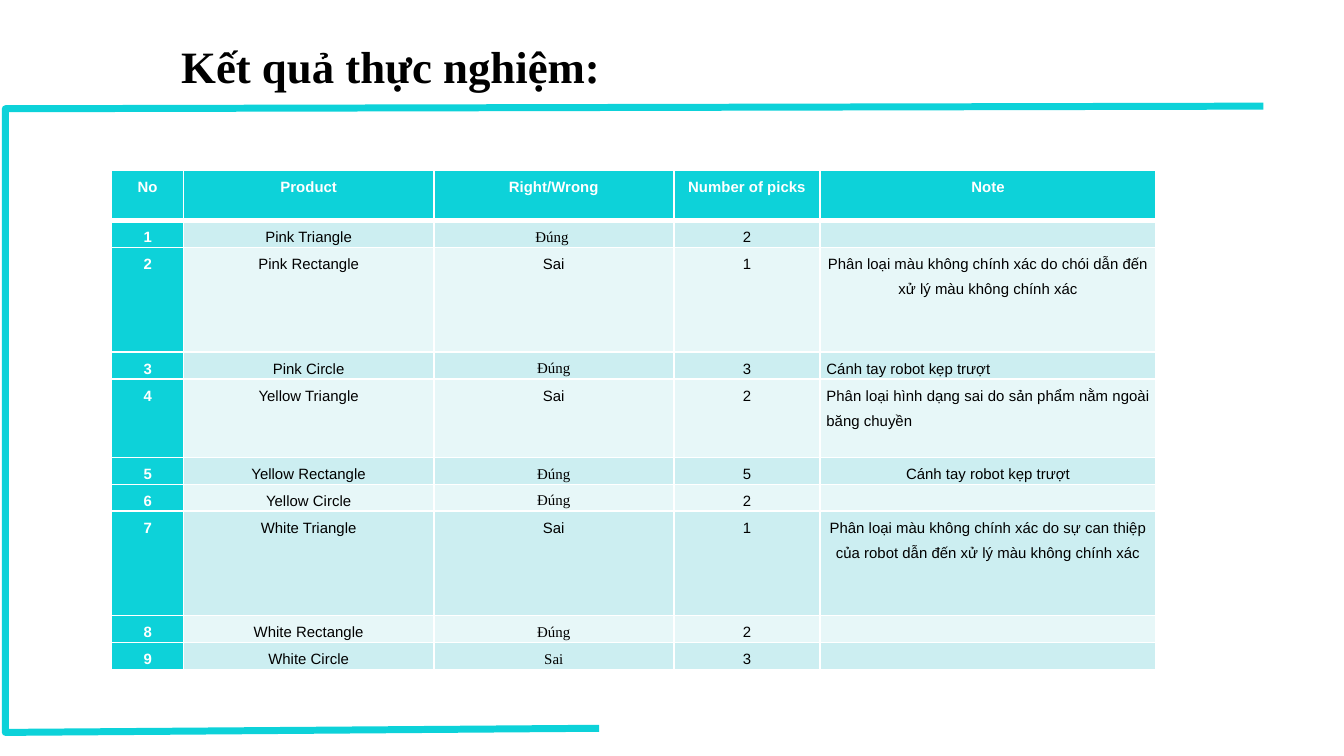
from dataclasses import dataclass

import lxml.etree
import pptx
import pptx.dml.color
import pptx.enum.text
import pptx.oxml.ns
import pptx.util

Pt = pptx.util.Pt
ALIGN = pptx.enum.text.PP_ALIGN
qn = pptx.oxml.ns.qn


@dataclass(frozen=True)
class Theme:
    accent: str = "0DD2D9"
    bands: tuple = ("CCEEF1", "E7F7F8")
    white: str = "FFFFFF"
    black: str = "000000"
    sans: str = "Arial"
    serif: str = "Times New Roman"
    title_size: float = 24
    table_size: float = 8


THEME = Theme()

FRAME_POINTS = [(321, 390.2), (2.9, 392.4), (2.9, 58.3), (676.8, 56.9)]
COLUMN_WIDTHS = [38.6, 134, 128.6, 78.4, 180]
HEADER_HEIGHT, SHORT, MEDIUM, TALL = 27, 13, 42, 56

HEADINGS = ["No", "Product", "Right/Wrong", "Number of picks", "Note"]
# Row height, product, verdict, verdict font, picks, note, note alignment
RESULTS = [
    (SHORT, "Pink Triangle", "Đúng ", THEME.serif, "2", "", ALIGN.CENTER),
    (TALL, "Pink Rectangle", "Sai", THEME.sans, "1",
     "Phân loại màu không chính xác do chói dẫn đến xử lý màu không chính xác",
     ALIGN.CENTER),
    (SHORT, "Pink Circle", "Đúng", THEME.serif, "3",
     "Cánh tay robot kẹp trượt", ALIGN.JUSTIFY),
    (MEDIUM, "Yellow Triangle", "Sai", THEME.sans, "2",
     "Phân loại hình dạng sai do sản phẩm nằm ngoài băng chuyền",
     ALIGN.JUSTIFY),
    (SHORT, "Yellow Rectangle", "Đúng", THEME.serif, "5",
     "Cánh tay robot kẹp trượt", ALIGN.CENTER),
    (SHORT, "Yellow Circle", "Đúng", THEME.serif, "2", "", ALIGN.CENTER),
    (TALL, "White Triangle", "Sai", THEME.sans, "1",
     "Phân loại màu không chính xác do sự can thiệp của robot dẫn đến "
     "xử lý màu không chính xác", ALIGN.CENTER),
    (SHORT, "White Rectangle", "Đúng", THEME.serif, "2", "", ALIGN.CENTER),
    (SHORT, "White Circle", "Sai", THEME.serif, "3", "", ALIGN.CENTER),
]


def rgb(value):
    return pptx.dml.color.RGBColor.from_string(value)


def write_text(frame, text, *, size, font=THEME.sans, color=THEME.black,
               bold=False, align=ALIGN.LEFT, line_spacing=1.0):
    para = frame.paragraphs[0]
    para.alignment = align
    para.line_spacing = line_spacing
    if not text:
        # An empty cell still needs a small type size to keep its row short.
        end = lxml.etree.SubElement(para._p, qn("a:endParaRPr"))
        end.set("sz", str(int(size * 100)))
        return
    span = para.add_run()
    span.text = text
    span.font.size = Pt(size)
    span.font.name = font
    span.font.bold = bold
    span.font.color.rgb = rgb(color)


def add_title(page, text):
    box = page.shapes.add_textbox(Pt(90), Pt(13.7), Pt(627), Pt(42.5))
    frame = box.text_frame
    frame.word_wrap = True
    frame.vertical_anchor = pptx.enum.text.MSO_ANCHOR.MIDDLE
    write_text(frame, text, size=THEME.title_size, font=THEME.serif, bold=True)


def add_frame_line(page):
    start, *others = [(Pt(x), Pt(y)) for x, y in FRAME_POINTS]
    builder = page.shapes.build_freeform(*start)
    builder.add_line_segments(others, close=False)
    outline = builder.convert_to_shape()
    outline.shadow.inherit = False
    outline.fill.background()
    outline.line.color.rgb = rgb(THEME.accent)
    outline.line.width = Pt(3.75)


def set_borders(cell, top, bottom):
    properties = cell._tc.get_or_add_tcPr()
    for side, width in (("L", 1), ("R", 1), ("T", top), ("B", bottom)):
        line = lxml.etree.SubElement(properties, qn(f"a:ln{side}"))
        line.set("w", str(Pt(width)))
        fill = lxml.etree.SubElement(line, qn("a:solidFill"))
        lxml.etree.SubElement(fill, qn("a:srgbClr")).set("val", THEME.white)


def fill_cell(cell, text, fill, *, top=1, bottom=1, **text_format):
    cell.margin_left = cell.margin_right = Pt(3.4)
    cell.margin_top = cell.margin_bottom = 0
    set_borders(cell, top, bottom)
    cell.fill.solid()
    cell.fill.fore_color.rgb = rgb(fill)
    text_format = {"align": ALIGN.CENTER, **text_format}
    write_text(cell.text_frame, text, size=THEME.table_size,
               line_spacing=1.5, **text_format)


def add_results_table(page):
    heights = [HEADER_HEIGHT] + [result[0] for result in RESULTS]
    table = page.shapes.add_table(
        len(heights), len(COLUMN_WIDTHS), Pt(59.8), Pt(91.3),
        Pt(sum(COLUMN_WIDTHS)), Pt(sum(heights))).table
    for column, width in zip(table.columns, COLUMN_WIDTHS):
        column.width = Pt(width)
    for row, height in zip(table.rows, heights):
        row.height = Pt(height)

    emphasis = {"color": THEME.white, "bold": True}
    for column, heading in enumerate(HEADINGS):
        fill_cell(table.cell(0, column), heading, THEME.accent,
                  bottom=3, **emphasis)

    for number, result in enumerate(RESULTS, start=1):
        _, product, verdict, verdict_font, picks, note, note_align = result
        band = THEME.bands[(number - 1) % 2]
        top = 3 if number == 1 else 1
        contents = [
            (str(number), THEME.accent, emphasis),
            (product, band, {}),
            (verdict, band, {"font": verdict_font}),
            (picks, band, {}),
            (note, band, {"align": note_align}),
        ]
        for column, (text, fill, text_format) in enumerate(contents):
            fill_cell(table.cell(number, column), text, fill,
                      top=top, **text_format)


def main():
    deck = pptx.Presentation()
    deck.slide_width, deck.slide_height = Pt(720), Pt(405)
    page = deck.slides.add_slide(deck.slide_layouts[6])
    add_frame_line(page)
    add_title(page, "Kết quả thực nghiệm:")
    add_results_table(page)
    deck.save("out.pptx")


if __name__ == "__main__":
    main()
